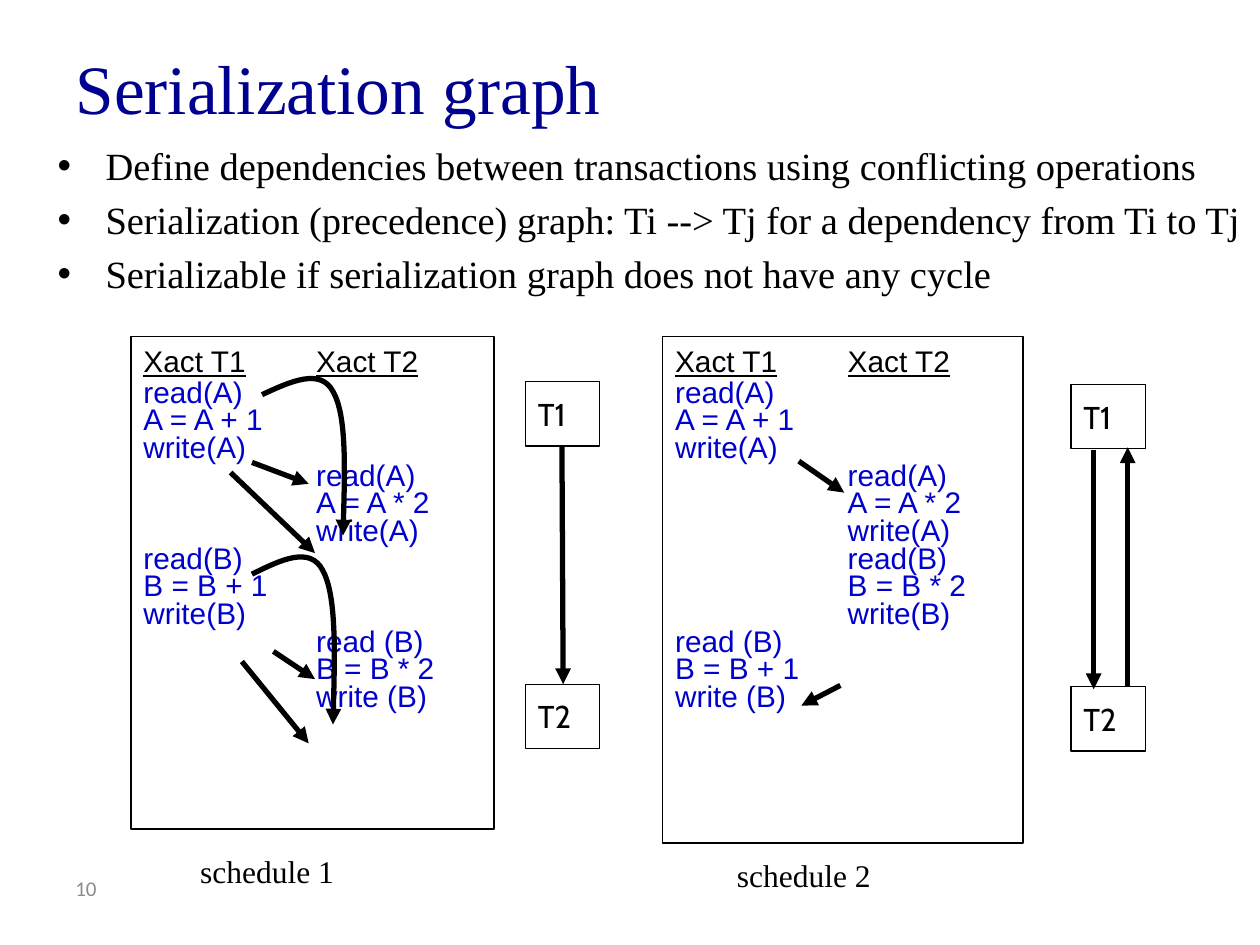
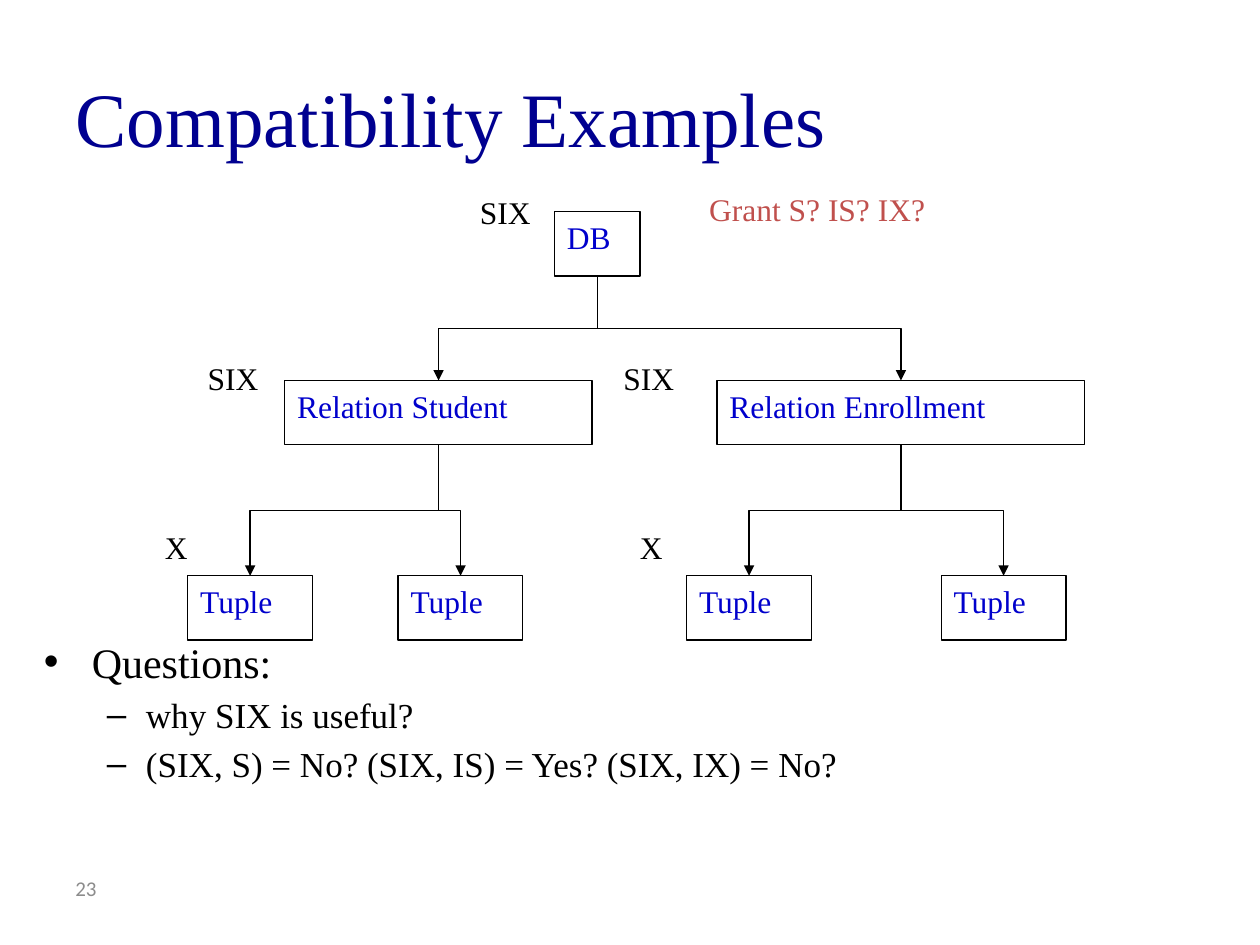
import pptx
import pptx.dml.color
import pptx.enum.shapes
import pptx.enum.text
import pptx.oxml
import pptx.oxml.ns
import pptx.util
from lxml import etree

# ---------- shared style ----------
COLOURS = {"title": "000090", "text": "000000", "code": "0000CC",
           "number": "8C8C8C", "question": "C0504D"}
SERIF = "Times New Roman"
FONTS = {
    "bullet": {"name": SERIF, "size": 22},
    "heading": {"name": SERIF, "size": 24},
    "detail": {"name": SERIF, "size": 20},
    "label": {"name": SERIF, "size": 18},
    "code": {"name": "Arial", "size": 17},
    "graph": {"name": "Cabin", "size": 18},
    "number": {"name": "Calibri", "size": 12},
}
MIDDLE = pptx.enum.text.MSO_ANCHOR.MIDDLE
TOP = pptx.enum.text.MSO_ANCHOR.TOP
LEFT = pptx.enum.text.PP_ALIGN.LEFT
THIN, THICK = 0.75, 3
BULLET = {"sign": "•", "indent": 0.38, "hang": 0.38, "before": 20}
DASH = {"sign": "–", "indent": 0.81, "hang": 0.31, "before": 20}
CODE_LINE = {"indent": 1.37, "hang": 1.37, "before": 45}

# ---------- content: serialization graph ----------
GRAPH_TITLE = {"text": "Serialization graph", "size": 39.6, "height": 0.78}
GRAPH_POINTS = [
    "Define dependencies between transactions using conflicting operations",
    "Serialization (precedence) graph: Ti --> Tj for a dependency from Ti to Tj",
    "Serializable if serialization graph does not have any cycle",
]
TRANSACTIONS = ("Xact T1", "Xact T2")
# steps: (transaction column, operations); arrows: (x1, y1, x2, y2)
SCHEDULES = [
    {"caption": "schedule 1", "caption_at": (1.49, 6.66),
     "panel": (1.04, 2.67, 2.88, 3.91),
     "steps": [(0, ["read(A)", "A = A + 1", "write(A)"]),
               (1, ["read(A)", "A = A * 2", "write(A)"]),
               (0, ["read(B)", "B = B + 1", "write(B)"]),
               (1, ["read (B)", "B = B * 2", "write (B)"])],
     "graph_at": (4.17, 3.03),
     "arrows": [(2, 3.67, 2.45, 3.84), (2.17, 5.17, 2.5, 5.39),
                (1.83, 3.75, 2.5, 4.39), (1.92, 5.25, 2.45, 5.9),
                (4.46, 3.54, 4.47, 5.43)],
     "curves": [(2, 4.33, 0.67, 1.42), (2.08, 2.92, 0.67, 1.33)]},
    {"caption": "schedule 2", "caption_at": (5.75, 6.69),
     "panel": (5.26, 2.67, 2.86, 4.02),
     "steps": [(0, ["read(A)", "A = A + 1", "write(A)"]),
               (1, ["read(A)", "A = A * 2", "write(A)"]),
               (1, ["read(B)", "B = B * 2", "write(B)"]),
               (0, ["read (B)", "B = B + 1", "write (B)"])],
     "graph_at": (8.5, 3.05),
     "arrows": [(6.34, 3.66, 6.7, 3.91), (6.67, 5.44, 6.36, 5.6),
                (8.95, 5.45, 8.95, 3.55), (8.68, 3.57, 8.68, 5.47)],
     "curves": []},
]
GRAPH_NODES = ("T1", "T2")
NODE_WIDTH, NODE_HEIGHT, NODE_STEP = 0.59, 0.51, 2.4
# start point and two cubic curves, as shares of the curve's box
CURVE = [(0, .16), (.34, .08), (.69, 0), (.84, .14), (1, .28), (.98, .64), (.96, 1)]

# ---------- content: compatibility examples ----------
LOCK_TITLE = {"text": "Compatibility Examples", "size": 44, "height": 1.25}
ROW_TOPS = (1.68, 3.02, 4.57)
LOCK_TOPS = (1.48, 2.80, 4.14)
# (text, row, left, width, parent index, lock, lock left)
LOCK_TREE = [
    ("DB", 0, 4.40, 0.68, None, "SIX", 3.71),
    ("Relation Student", 1, 2.26, 2.44, 0, "SIX", 1.55),
    ("Relation Enrollment", 1, 5.69, 2.92, 0, "SIX", 4.85),
    ("Tuple", 2, 1.49, 0.99, 1, "X", 1.21),
    ("Tuple", 2, 3.16, 0.99, 1, None, None),
    ("Tuple", 2, 5.45, 0.99, 2, "X", 4.98),
    ("Tuple", 2, 7.47, 0.99, 2, None, None),
]
GRANT = "Grant S? IS? IX?"
QUESTIONS = [
    ("Questions:", "heading", BULLET),
    ("why SIX is useful?", "detail", DASH),
    ("(SIX, S) = No? (SIX, IS) = Yes? (SIX, IX) = No?", "detail", DASH),
]


# ---------- helpers ----------
def inches(*lengths):
    return [pptx.util.Inches(length) for length in lengths]


def rgb(colour):
    return pptx.dml.color.RGBColor.from_string(COLOURS[colour])


def assign(target, values):
    for key, value in values.items():
        setattr(target, key, value)


def add_run(paragraph, text, font, colour="text", underline=False):
    run = paragraph.add_run()
    run.text = text
    assign(run.font, {"name": font["name"], "size": pptx.util.Pt(font["size"]),
                      "underline": underline})
    run.font.color.rgb = rgb(colour)


def next_paragraph(frame):
    first = frame.paragraphs[0]
    paragraph = first if not first.runs else frame.add_paragraph()
    paragraph.alignment = LEFT
    return paragraph


def space_before(paragraph, percent):
    paragraph.space_before = pptx.util.Pt(1)
    spacing = paragraph._p.pPr.find(pptx.oxml.ns.qn("a:spcBef"))
    spacing.remove(spacing[0])
    etree.SubElement(spacing, pptx.oxml.ns.qn("a:spcPct"), val=str(percent * 1000))


def indent(paragraph, style):
    properties = paragraph._p.get_or_add_pPr()
    properties.set("marL", str(pptx.util.Inches(style["indent"])))
    properties.set("indent", str(-pptx.util.Inches(style["hang"])))
    space_before(paragraph, style["before"])
    if "sign" in style:
        etree.SubElement(properties, pptx.oxml.ns.qn("a:buFont"), typeface="Arial")
        etree.SubElement(properties, pptx.oxml.ns.qn("a:buChar"), char=style["sign"])


def add_text(slide, box, text, font, colour="text", anchor=TOP):
    frame = slide.shapes.add_textbox(*inches(*box)).text_frame
    assign(frame, {"word_wrap": True, "vertical_anchor": anchor})
    add_run(next_paragraph(frame), text, FONTS[font], colour)


def add_bullets(slide, box, items):
    frame = slide.shapes.add_textbox(*inches(*box)).text_frame
    frame.word_wrap = True
    for text, font, style in items:
        paragraph = next_paragraph(frame)
        add_run(paragraph, text, FONTS[font])
        indent(paragraph, style)


def draw_line(shape, width, arrow=False):
    shape.line.color.rgb = rgb("text")
    shape.line.width = pptx.util.Pt(width)
    if arrow:
        etree.SubElement(shape.line._get_or_add_ln(), pptx.oxml.ns.qn("a:tailEnd"),
                         type="triangle")


def add_box(slide, box, anchor=TOP):
    outline = slide.shapes.add_shape(
        pptx.enum.shapes.MSO_SHAPE.RECTANGLE, *inches(*box))
    outline.shadow.inherit = False
    outline.fill.background()
    draw_line(outline, THIN)
    assign(outline.text_frame, {"word_wrap": True, "vertical_anchor": anchor})
    return outline


def add_arrow(slide, ends, width, kind="STRAIGHT"):
    arrow = slide.shapes.add_connector(
        getattr(pptx.enum.shapes.MSO_CONNECTOR, kind), *inches(*ends))
    draw_line(arrow, width, arrow=True)
    etree.SubElement(arrow._element.spPr, pptx.oxml.ns.qn("a:effectLst"))
    return arrow


def add_curve(slide, box):
    left, top, width, height = box
    points = [inches(left + x * width, top + y * height) for x, y in CURVE]
    builder = slide.shapes.build_freeform(*points[0])
    builder.add_line_segments(points[1:], close=False)
    curve = builder.convert_to_shape()
    curve.shadow.inherit = False
    curve.fill.background()
    draw_line(curve, THICK, arrow=True)
    # every three straight segments become one cubic curve
    segments = list(curve._element.iter(pptx.oxml.ns.qn("a:lnTo")))
    outline = segments[0].getparent()
    for start in range(0, len(segments), 3):
        cubic = etree.SubElement(outline, pptx.oxml.ns.qn("a:cubicBezTo"))
        for segment in segments[start:start + 3]:
            cubic.append(segment[0])
            outline.remove(segment)


def add_branch(slide, parent, child):
    """Elbow arrow that leaves the parent downwards and enters the child's top."""
    x1, y1 = parent.left + parent.width // 2, parent.top + parent.height
    x2, y2 = child.left + child.width // 2, child.top
    drop, run = y2 - y1, abs(x2 - x1)
    branch = add_arrow(slide, (0, 0, 1, 1), THIN, "ELBOW")
    branch.begin_connect(parent, 2)
    branch.end_connect(child, 0)
    # the preset runs sideways, so its box is turned a quarter
    assign(branch, {"left": (x1 + x2 - drop) // 2, "top": (y1 + y2 - run) // 2,
                    "width": drop, "height": run})
    frame = branch._element.spPr.find(pptx.oxml.ns.qn("a:xfrm"))
    rightwards = x2 > x1
    frame.set("rot", str((270 if rightwards else 90) * 60000))
    frame.set("flipH", "1" if rightwards else "0")
    frame.set("flipV", "0")


def start_slide(deck, title, number):
    slide = deck.slides.add_slide(deck.slide_layouts[5])
    heading = slide.shapes.title
    left, top, width, height = inches(0.5, 0.3, 9, title["height"])
    assign(heading, {"left": left, "top": top, "width": width, "height": height})
    assign(heading.text_frame, {"vertical_anchor": MIDDLE, "word_wrap": True})
    add_run(next_paragraph(heading.text_frame), title["text"],
            {"name": SERIF, "size": title["size"]}, "title")
    add_text(slide, (0.5, 6.85, 2.33, 0.4), number, "number", "number", MIDDLE)
    return slide


# ---------- slides ----------
def add_schedule(slide, schedule):
    # panel with the interleaved operations
    frame = add_box(slide, schedule["panel"]).text_frame
    frame.margin_bottom = pptx.util.Inches(0.35)
    header = next_paragraph(frame)
    for text, underline in ((TRANSACTIONS[0], True), ("\t", False), (TRANSACTIONS[1], True)):
        add_run(header, text, FONTS["code"], underline=underline)
    indent(header, CODE_LINE)
    for column, operations in schedule["steps"]:
        for operation in operations:
            paragraph = next_paragraph(frame)
            add_run(paragraph, "\t" * column + operation, FONTS["code"], "code")
            indent(paragraph, CODE_LINE)
            paragraph.line_spacing = 0.4
    add_text(slide, (*schedule["caption_at"], 1.62, 0.5), schedule["caption"],
             "label", anchor=MIDDLE)

    # precedence graph and dependencies
    left, top = schedule["graph_at"]
    for row, name in enumerate(GRAPH_NODES):
        node = add_box(slide, (left, top + row * NODE_STEP, NODE_WIDTH, NODE_HEIGHT), MIDDLE)
        paragraph = next_paragraph(node.text_frame)
        add_run(paragraph, name, FONTS["graph"])
        space_before(paragraph, 50)
    for ends in schedule["arrows"]:
        add_arrow(slide, ends, THICK)
    for box in schedule["curves"]:
        add_curve(slide, box)


def add_lock_tree(slide):
    nodes = []
    for text, row, left, width, parent, lock, lock_left in LOCK_TREE:
        node = add_box(slide, (left, ROW_TOPS[row], width, NODE_HEIGHT))
        add_run(next_paragraph(node.text_frame), text, FONTS["label"], "code")
        nodes.append(node)
        if parent is not None:
            add_branch(slide, nodes[parent], node)
        if lock:
            add_text(slide, (lock_left, LOCK_TOPS[row], 0.74, 0.5), lock, "label")


def main():
    deck = pptx.Presentation()
    deck.slide_width, deck.slide_height = inches(10, 7.5)

    graph = start_slide(deck, GRAPH_TITLE, "10")
    add_bullets(graph, (0.36, 1.08, 9.64, 1.5),
                [(point, "bullet", BULLET) for point in GRAPH_POINTS])
    for schedule in SCHEDULES:
        add_schedule(graph, schedule)

    locks = start_slide(deck, LOCK_TITLE, "23")
    add_bullets(locks, (0.25, 5, 9.75, 1.5), QUESTIONS)
    add_lock_tree(locks)
    add_text(locks, (5.53, 1.46, 2.49, 0.5), GRANT, "label", "question")

    deck.save("out.pptx")


if __name__ == "__main__":
    main()
